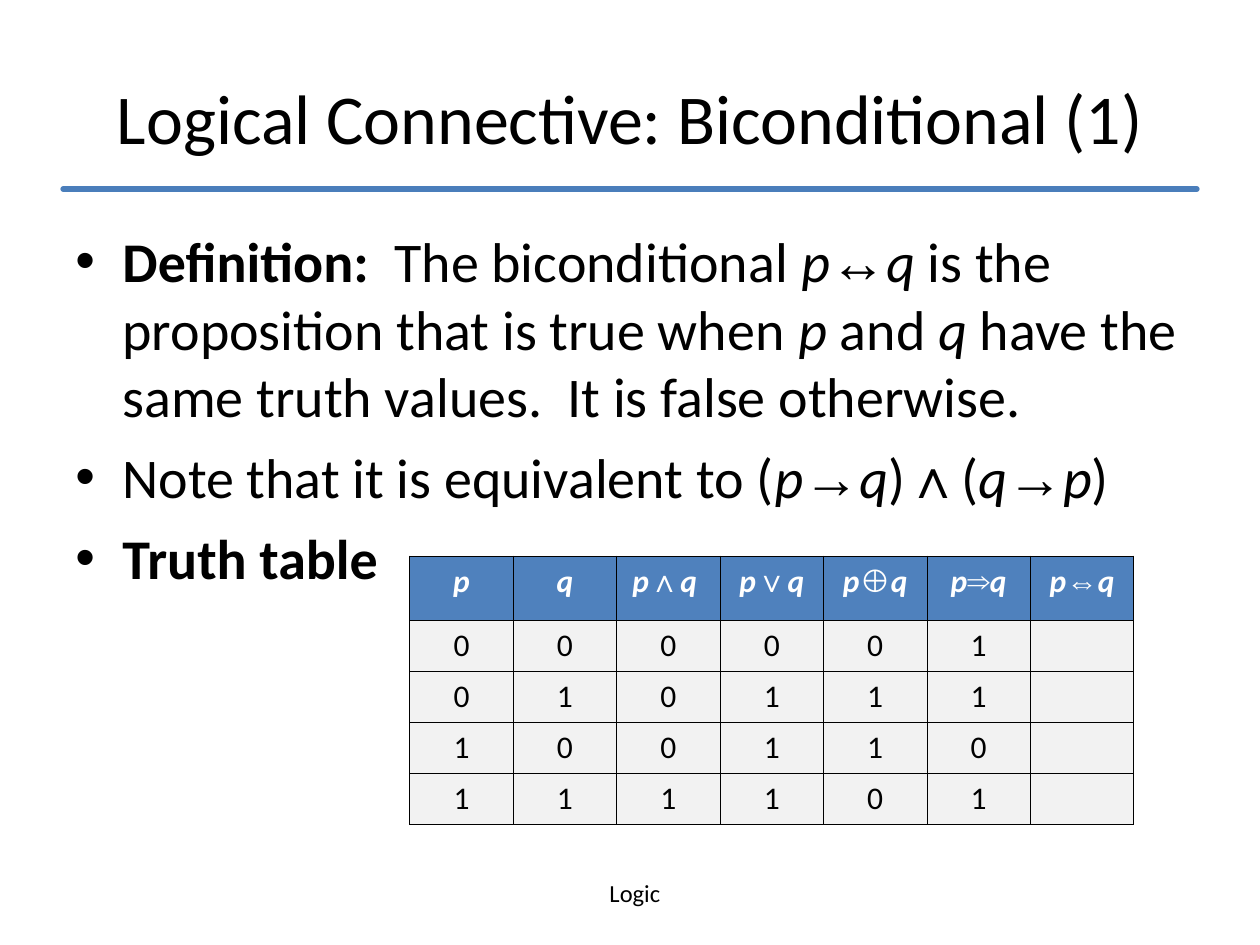
from dataclasses import dataclass

from lxml import etree
from pptx import Presentation
from pptx.dml.color import RGBColor as RGB
from pptx.enum.shapes import MSO_CONNECTOR as CONNECTOR
from pptx.enum.text import MSO_ANCHOR as ANCHOR, PP_ALIGN as ALIGN
from pptx.oxml.ns import qn
from pptx.util import Cm, Pt


@dataclass(frozen=True)
class Theme:
    font: str = "Calibri"
    symbol_font: str = "Arial"
    ink: RGB = RGB(0, 0, 0)
    rule: RGB = RGB(0x4A, 0x7E, 0xBB)
    header: RGB = RGB(0x4F, 0x81, 0xBD)
    header_text: RGB = RGB(255, 255, 255)
    cell: RGB = RGB(0xF2, 0xF2, 0xF2)
    title_size: int = 40
    body_size: int = 32
    table_size: int = 18
    footer_size: int = 14


theme = Theme()


def add_runs(paragraph, runs, size, color=theme.ink):
    """Style letters: b bold, i italic, s symbol font."""
    for text, style in runs:
        run = paragraph.add_run()
        run.text = text
        font = run.font
        font.name = theme.symbol_font if "s" in style else theme.font
        font.size = Pt(size)
        font.bold = "b" in style
        font.italic = "i" in style
        font.color.rgb = color


def add_border(cell, side):
    line = etree.SubElement(cell._tc.get_or_add_tcPr(), qn(f"a:{side}"), w=str(Pt(0.45)))
    fill = etree.SubElement(line, qn("a:solidFill"))
    etree.SubElement(fill, qn("a:srgbClr"), val=str(theme.ink))


deck = Presentation()
deck.slide_width, deck.slide_height = Cm(25.4), Cm(19.05)
slide = deck.slides.add_slide(deck.slide_layouts[5])
margin, content_width = Cm(1.27), Cm(22.86)

# Footer
footer = slide.shapes.add_textbox(Cm(9.09), Cm(17.58), Cm(7.42), Cm(0.86)).text_frame
footer.word_wrap = True
footer.paragraphs[0].alignment = ALIGN.CENTER
add_runs(footer.paragraphs[0], [("Logic", "")], theme.footer_size)

# Rule under the title
rule = slide.shapes.add_connector(
    CONNECTOR.STRAIGHT, margin, Cm(3.81), margin + content_width, Cm(3.81))
rule.line.color.rgb = theme.rule
rule.line.width = Pt(3)
rule.line._get_or_add_ln().set("cap", "rnd")
etree.SubElement(rule._element.spPr, qn("a:effectLst"))

# Title
title = slide.shapes.title
title.left, title.top, title.width, title.height = margin, Cm(0.76), content_width, Cm(3.18)
title.text_frame.vertical_anchor = ANCHOR.MIDDLE
heading = title.text_frame.paragraphs[0]
heading.alignment = ALIGN.CENTER
add_runs(heading, [("Logical Connective: Biconditional (1)", "")], theme.title_size)

# Definition, equivalence and table caption
statements = [
    [("Definition: ", "b"), (" The biconditional ", ""),
     ("p", "i"), ("↔", "s"), ("q", "i"),
     (" is the proposition that is true when ", ""), ("p", "i"),
     (" and ", ""), ("q", "i"),
     (" have the same truth values.  It is false otherwise.", "")],
    [("Note that it is equivalent to (", ""),
     ("p", "i"), ("→", "s"), ("q", "i"), (")", ""), ("∧", "s"), ("(", ""),
     ("q", "i"), ("→", "s"), ("p", "i"), (")", "")],
    [("Truth table", "b")],
]
body = slide.shapes.add_textbox(margin, Cm(4.45), content_width, Cm(12.57)).text_frame
body.word_wrap = True
for index, statement in enumerate(statements):
    paragraph = body.add_paragraph() if index else body.paragraphs[0]
    paragraph.space_before = Pt(8)
    props = paragraph._p.get_or_add_pPr()
    props.set("marL", str(Cm(0.95)))
    props.set("indent", str(-Cm(0.95)))
    etree.SubElement(props, qn("a:buFont"), typeface=theme.symbol_font)
    etree.SubElement(props, qn("a:buChar"), char="•")
    add_runs(paragraph, statement, theme.body_size)

# Truth table, with the last column left open
headers = [
    [("p", "bi")],
    [("q", "bi")],
    [("p", "bi"), ("∧", "bs"), ("q ", "bi")],
    [("p", "bi"), ("∨", "bs"), ("q", "bi")],
    [("p", "bi"), ("⊕", "bs"), ("q", "bi")],
    [("p", "bi"), ("⇒", "bs"), ("q", "bi")],
    [("p", "bi"), ("⇔", "bis"), ("q", "bi")],
]
truth_rows = ["000001", "010111", "100110", "111101"]
rows = [headers] + [
    [[(value, "")] for value in values] + [[]] for values in truth_rows]
truth_table = slide.shapes.add_table(
    len(rows), len(headers), Cm(8.26), Cm(11.21), Cm(14.6), Cm(5.41)).table
for column in truth_table.columns:
    column.width = Cm(14.6 / len(headers))
for row_index, row in enumerate(rows):
    is_header = row_index == 0
    truth_table.rows[row_index].height = Cm(1.29 if is_header else 1.03)
    for column_index, runs in enumerate(row):
        cell = truth_table.cell(row_index, column_index)
        for side in ("lnL", "lnR", "lnT", "lnB"):
            add_border(cell, side)
        cell.fill.solid()
        cell.fill.fore_color.rgb = theme.header if is_header else theme.cell
        entry = cell.text_frame.paragraphs[0]
        entry.alignment = ALIGN.CENTER
        entry.font.size = Pt(theme.table_size)
        add_runs(entry, runs, theme.table_size,
                 theme.header_text if is_header else theme.ink)

deck.save("out.pptx")
